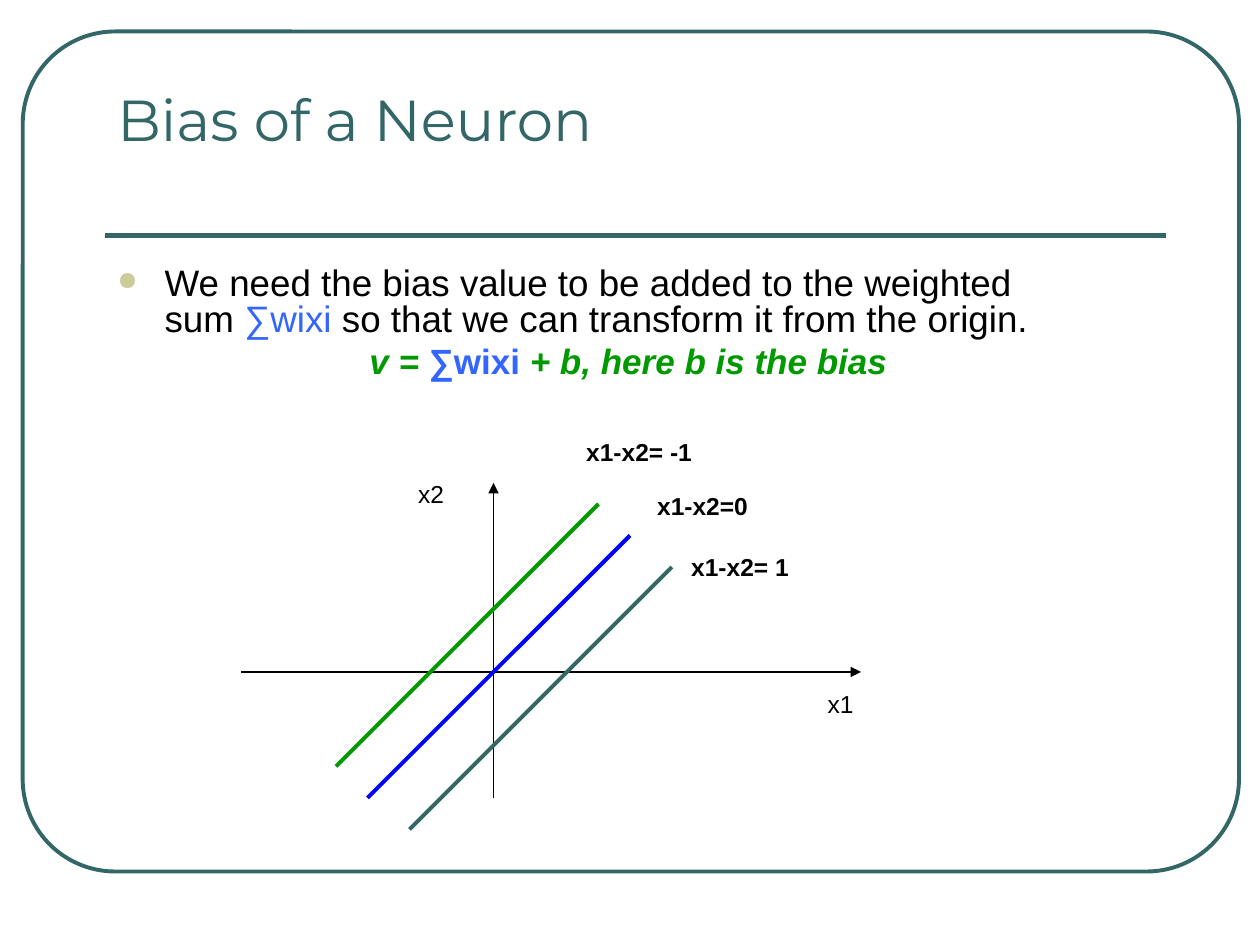
from dataclasses import dataclass

import pptx
import pptx.dml.color
import pptx.enum.shapes
import pptx.enum.text
import pptx.oxml
import pptx.oxml.ns
import pptx.util

Pt = pptx.util.Pt
COLORS = {
    "teal": "336666",
    "black": "000000",
    "green": "009900",
    "blue": "0000FF",
    "sum": "3366FF",
    "bullet": "CCCC99",
}


@dataclass
class Line:
    start: tuple[float, float]
    end: tuple[float, float]
    color: str
    weight: float
    arrow: bool = False


@dataclass
class Label:
    text: str
    left: float
    top: float
    width: float
    bold: bool = False


@dataclass
class Run:
    text: str
    size: float
    color: str = "black"
    bold: bool = False
    italic: bool = False
    font: str = "Arial"


RUN_UP = 150  # every decision line rises and runs by the same length
AXES = [
    Line((282, 456), (282, 276), "black", 0.75, arrow=True),
    Line((138, 384), (492, 384), "black", 0.75, arrow=True),
]
DECISION_LINES = [
    Line((left, bottom), (left + RUN_UP, bottom - RUN_UP), color, 2.25)
    for left, bottom, color in [
        (192, 438, "green"), (210, 456, "blue"), (234, 474, "teal")]
]
LABELS = [
    Label("x1-x2=0", 364.5, 277, 70, bold=True),
    Label("x1-x2= 1", 384, 312, 78, bold=True),
    Label("x1", 462, 390, 34),
    Label("x2", 228, 270, 36),
    Label("x1-x2= -1", 324, 246, 81, bold=True),
]


def rgb(name: str) -> pptx.dml.color.RGBColor:
    return pptx.dml.color.RGBColor.from_string(COLORS[name])


def add_element(parent, tag: str, **attributes: str):
    element = pptx.oxml.parse_xml(f"<a:{tag} {pptx.oxml.ns.nsdecls('a')}/>")
    for name, value in attributes.items():
        element.set(name, value)
    parent.append(element)
    return element


def draw_frame(slide) -> None:
    shape = slide.shapes.add_shape(
        pptx.enum.shapes.MSO_SHAPE.ROUNDED_RECTANGLE,
        Pt(13), Pt(18), Pt(695), Pt(480))
    shape.adjustments[0] = 0.11
    shape.shadow.inherit = False
    shape.fill.background()
    shape.line.color.rgb = rgb("teal")
    shape.line.width = Pt(2.25)


def draw_line(slide, line: Line) -> None:
    connector = slide.shapes.add_connector(
        pptx.enum.shapes.MSO_CONNECTOR.STRAIGHT,
        *(Pt(value) for value in line.start + line.end))
    connector.line.color.rgb = rgb(line.color)
    connector.line.width = Pt(line.weight)
    if line.arrow:
        add_element(connector.line._get_or_add_ln(), "tailEnd", type="triangle")
    add_element(connector._element.spPr, "effectLst")


def add_text_frame(slide, left: float, top: float, width: float, height: float):
    frame = slide.shapes.add_textbox(
        Pt(left), Pt(top), Pt(width), Pt(height)).text_frame
    frame.word_wrap = True
    return frame


def add_runs(paragraph, runs: list[Run]) -> None:
    for run in runs:
        text_run = paragraph.add_run()
        text_run.text = run.text
        font = text_run.font
        font.name = run.font
        font.size = Pt(run.size)
        font.bold = run.bold
        font.italic = run.italic
        font.color.rgb = rgb(run.color)


def draw_label(slide, label: Label) -> None:
    frame = add_text_frame(slide, label.left, label.top, label.width, 24.5)
    frame.margin_left = Pt(11)
    frame.margin_right = Pt(0)
    add_runs(frame.paragraphs[0], [Run(label.text, 14, bold=label.bold)])


def draw_title(slide) -> None:
    frame = add_text_frame(slide, 60, 42, 606, 90)
    frame.margin_top = Pt(6)
    add_runs(frame.paragraphs[0],
             [Run("Bias of a Neuron", 33, "teal", font="Montserrat")])


def draw_body(slide) -> None:
    frame = add_text_frame(slide, 60, 150, 570, 72)
    bullet_paragraph = frame.paragraphs[0]
    properties = bullet_paragraph._p.get_or_add_pPr()
    properties.set("marL", str(Pt(27)))
    properties.set("indent", str(Pt(-27)))
    add_element(add_element(properties, "buClr"), "srgbClr",
                val=COLORS["bullet"])
    add_element(properties, "buSzPct", val="70000")
    add_element(properties, "buChar", char="●")
    bullet_paragraph.line_spacing = 0.8
    add_runs(bullet_paragraph, [
        Run("We need the bias value to be added to the weighted sum ", 21),
        Run("∑wixi ", 21, "sum"),
        Run("so that we can transform it from the origin.", 21),
    ])

    formula = frame.add_paragraph()
    formula._p.get_or_add_pPr().set("marL", str(Pt(144)))
    formula.line_spacing = 0.8
    formula.space_before = Pt(5)
    add_runs(formula, [
        Run("v = ", 20, "green", bold=True, italic=True),
        Run("∑wixi", 20, "sum", bold=True),
        Run(" + b, here b is the bias", 20, "green", bold=True, italic=True),
    ])


def main() -> None:
    presentation = pptx.Presentation()
    presentation.slide_width = Pt(720)
    presentation.slide_height = Pt(540)
    slide = presentation.slides.add_slide(presentation.slide_layouts[6])
    draw_frame(slide)
    draw_line(slide, Line((60, 134.5), (666, 134.5), "teal", 3))
    draw_title(slide)
    draw_body(slide)
    for line in AXES + DECISION_LINES:
        draw_line(slide, line)
    for label in LABELS:
        draw_label(slide, label)
    presentation.save("out.pptx")


if __name__ == "__main__":
    main()
